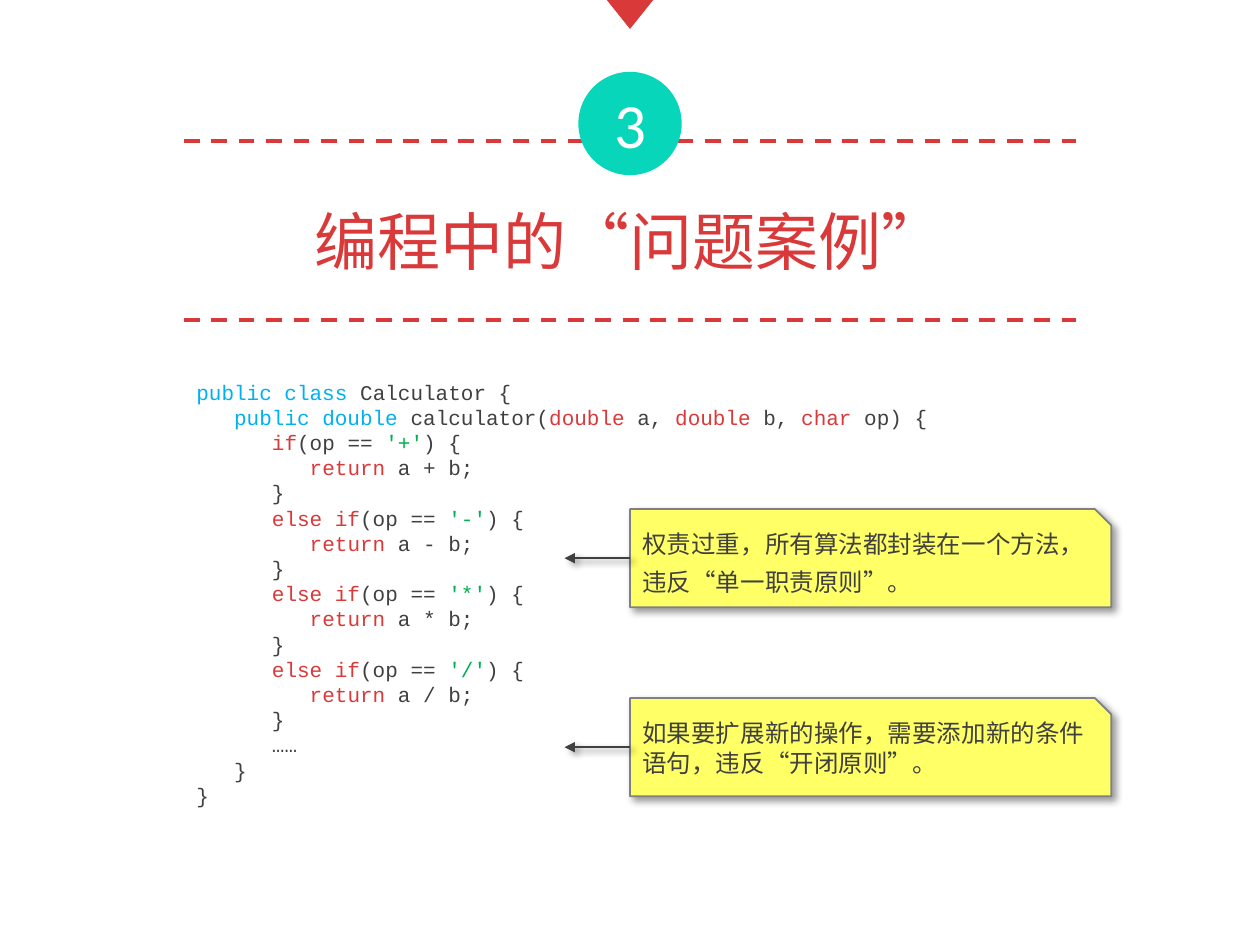
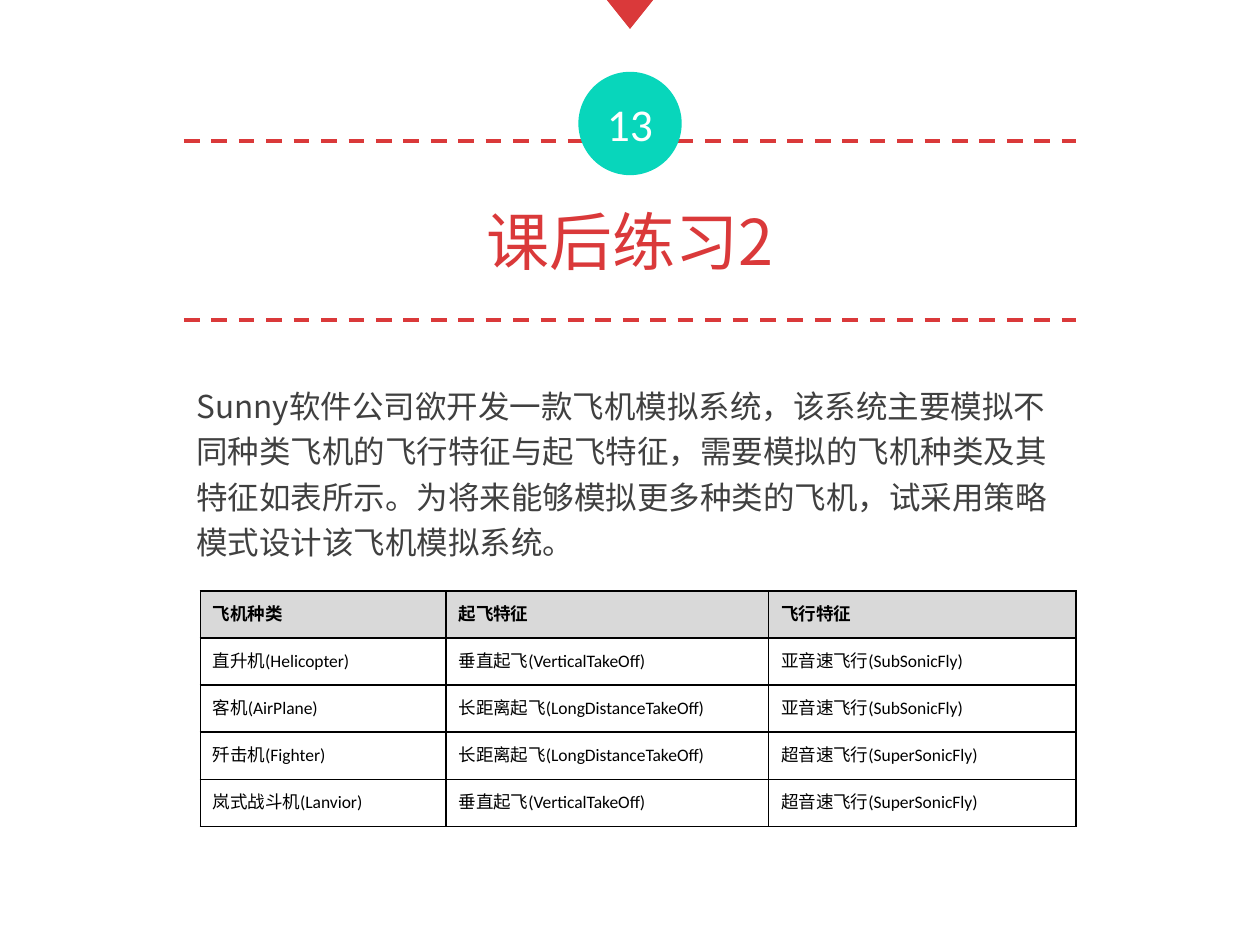
from dataclasses import dataclass
from lxml.etree import SubElement as Sub
from pptx import Presentation
from pptx.dml.color import RGBColor as RGB
from pptx.enum.dml import MSO_LINE as Dash
from pptx.enum.shapes import MSO_CONNECTOR as Wire, MSO_SHAPE as Form
from pptx.enum.text import MSO_ANCHOR as Anchor, PP_ALIGN as Align
from pptx.oxml.ns import qn
from pptx.util import Pt


@dataclass(frozen=True)
class Theme:
    red: str = "DA393A"
    teal: str = "08D6BB"
    blue: str = "00B0F0"
    green: str = "00B050"
    ink: str = "404040"
    black: str = "000000"
    white: str = "FFFFFF"
    note: str = "FFFF66"
    edge: str = "808080"
    head: str = "D9D9D9"
    sans: str = "Noto Sans CJK SC"
    latin: str = "Calibri"
    mono: str = "Courier New"
    title: int = 36
    body: int = 18
    small: int = 14
    code: int = 12
    cell: int = 10


T = Theme()
SCALE = 9144
PAGE = (0, 0, 1000, 750)
BAND = (146, 112, 708, 142)


def px(*nums):
    return [n * SCALE for n in nums]


def write(para, text, face, size, color, bold=False):
    run = para.add_run()
    run.text = text
    font = run.font
    font.name, font.size, font.bold = face, Pt(size), bold
    font.color.rgb = RGB.from_string(color)
    Sub(run._r.get_or_add_rPr(), qn("a:ea"), typeface=face)


def lines(frame, count):
    return [frame.paragraphs[0]] + [frame.add_paragraph() for _ in range(count - 1)]


def area(slide, box, anchor=Anchor.TOP):
    frame = slide.shapes.add_textbox(*px(*box)).text_frame
    frame.word_wrap = True
    frame.vertical_anchor = anchor
    return frame


def shadow(item, cast=True):
    props = item._element.spPr
    fx = props.find(qn("a:effectLst"))
    if fx is None:
        fx = Sub(props, qn("a:effectLst"))
    if cast:
        drop = Sub(fx, qn("a:outerShdw"), blurRad=str(Pt(4)), dist=str(Pt(3)),
                   dir="2700000", algn="tl", rotWithShape="0")
        tint = Sub(drop, qn("a:srgbClr"), val=T.black)
        Sub(tint, qn("a:alpha"), val="40000")


def shape(slide, form, box, fill, edge=None):
    item = slide.shapes.add_shape(form, *px(*box))
    item.shadow.inherit = False
    item.fill.solid()
    item.fill.fore_color.rgb = RGB.from_string(fill)
    if edge:
        item.line.color.rgb = RGB.from_string(edge)
        item.line.width = Pt(1)
    else:
        item.line.fill.background()
    return item


def wire(slide, start, end, color, width):
    item = slide.shapes.add_connector(Wire.STRAIGHT, *px(*start, *end))
    item.line.color.rgb = RGB.from_string(color)
    item.line.width = Pt(width)
    return item


def header(slide, box, title, number, size):
    left, top, width, height = box
    mid = left + width // 2
    for y in (top, top + height):
        rule = wire(slide, (left, y), (left + width, y), T.red, 2.25)
        rule.line.dash_style = Dash.DASH
        shadow(rule, False)

    para = area(slide, (PAGE[0], top + 40, PAGE[2], 71)).paragraphs[0]
    para.alignment = Align.CENTER
    para.line_spacing = Pt(46)
    write(para, title, T.sans, T.title, T.red)

    badge = shape(slide, Form.OVAL, (mid - 41, top - 55, 82, 82), T.teal)
    frame = badge.text_frame
    frame.word_wrap = False
    frame.vertical_anchor = Anchor.MIDDLE
    para = frame.paragraphs[0]
    para.alignment = Align.CENTER
    write(para, number, T.latin, size, T.white)

    mark = shape(slide, Form.ISOSCELES_TRIANGLE, (mid - 20, -2, 40, 25), T.red)
    mark.rotation = 180


def listing(slide, box):
    key, typ, ink, lit = T.blue, T.red, T.ink, T.green
    rows = [
        (0, ("public class ", key), ("Calculator {", ink)),
        (1, ("public double ", key), ("calculator(", ink), ("double", typ),
         (" a, ", ink), ("double ", typ), ("b, ", ink), ("char ", typ),
         ("op) {", ink)),
    ]
    for sign in "+-*/":
        word = "if" if sign == "+" else "else if"
        rows += [
            (2, (word, typ), ("(op == ", ink), (f"'{sign}'", lit), (") {", ink)),
            (3, ("return ", typ), (f"a {sign} b;", ink)),
            (2, ("}", ink)),
        ]
    rows += [(2, ("……", ink)), (1, ("}", ink)), (0, ("}", ink))]
    for para, (depth, *parts) in zip(lines(area(slide, box), len(rows)), rows):
        props = para._p.get_or_add_pPr()
        props.set("marL", str(depth * 30 * SCALE))
        props.set("indent", "0")
        for text, color in parts:
            write(para, text, T.mono, T.code, color)


def note(slide, box, texts, pitch):
    left, top, width, height = box
    card = shape(slide, Form.SNIP_1_RECTANGLE, box, T.note, T.edge)
    shadow(card)
    frame = area(slide, box, Anchor.MIDDLE)
    for para, text in zip(lines(frame, len(texts)), texts):
        para.line_spacing = Pt(pitch)
        write(para, text, T.sans, T.small, T.ink)

    y = top + height // 2
    arrow = wire(slide, (left, y), (left - 52, y), T.ink, 1.5)
    arrow.begin_connect(card, 1)
    Sub(arrow.line._get_or_add_ln(), qn("a:tailEnd"), type="triangle")
    shadow(arrow)


def prose(slide, box, text):
    para = area(slide, box).paragraphs[0]
    para.line_spacing = Pt(26)
    para.space_after = Pt(12)
    write(para, text, T.sans, T.body, T.ink)


def border(cell):
    props = cell._tc.get_or_add_tcPr()
    for side in ("lnL", "lnR", "lnT", "lnB"):
        edge = Sub(props, qn(f"a:{side}"), w=str(Pt(1)))
        fill = Sub(edge, qn("a:solidFill"))
        Sub(fill, qn("a:srgbClr"), val=T.black)


def grid(slide, box, widths, rows):
    table = slide.shapes.add_table(len(rows), len(widths), *px(*box)).table
    for col, width in zip(table.columns, widths):
        col.width = width * SCALE
    for r, row in enumerate(rows):
        for c, text in enumerate(row):
            cell = table.cell(r, c)
            border(cell)
            if r == 0:
                cell.fill.solid()
                cell.fill.fore_color.rgb = RGB.from_string(T.head)
            else:
                cell.fill.background()
            cell.vertical_anchor = Anchor.MIDDLE
            para = cell.text_frame.paragraphs[0]
            write(para, text, T.latin, T.cell, T.black, r == 0)


def case(slide):
    header(slide, BAND, "编程中的“问题案例”", "3", 36)
    listing(slide, (146, 296, 709, 353))
    note(slide, (500, 404, 382, 78),
         ["权责过重，所有算法都封装在一个方法，", "违反“单一职责原则”。"], 22)
    note(slide, (500, 554, 382, 78),
         ["如果要扩展新的操作，需要添加新的条件", "语句，违反“开闭原则”。"], 17)


def drill(slide):
    header(slide, BAND, "课后练习2", "13", 26)
    prose(slide, (146, 296, 709, 156),
          "Sunny软件公司欲开发一款飞机模拟系统，该系统主要模拟不同种类飞机的"
          "飞行特征与起飞特征，需要模拟的飞机种类及其特征如表所示。为将来能够"
          "模拟更多种类的飞机，试采用策略模式设计该飞机模拟系统。")
    rise, far = "垂直起飞(VerticalTakeOff)", "长距离起飞(LongDistanceTakeOff)"
    slow, fast = "亚音速飞行(SubSonicFly)", "超音速飞行(SuperSonicFly)"
    grid(slide, (159, 469, 695, 187), (195, 256, 244), [
        ("飞机种类", "起飞特征", "飞行特征"),
        ("直升机(Helicopter)", rise, slow),
        ("客机(AirPlane)", far, slow),
        ("歼击机(Fighter)", far, fast),
        ("岚式战斗机(Lanvior)", rise, fast),
    ])


def main():
    deck = Presentation()
    deck.slide_width, deck.slide_height = px(*PAGE[2:])
    for build in (case, drill):
        build(deck.slides.add_slide(deck.slide_layouts[6]))
    deck.save("out.pptx")


if __name__ == "__main__":
    main()
